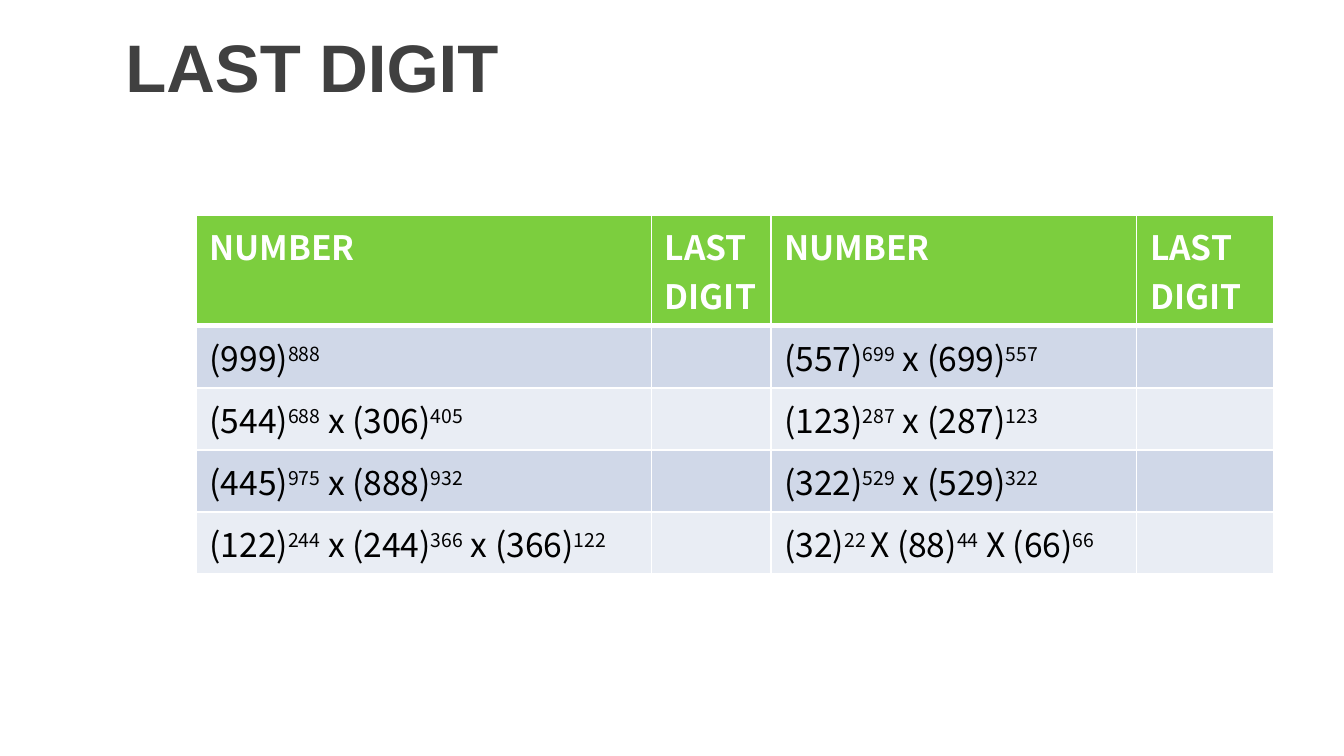
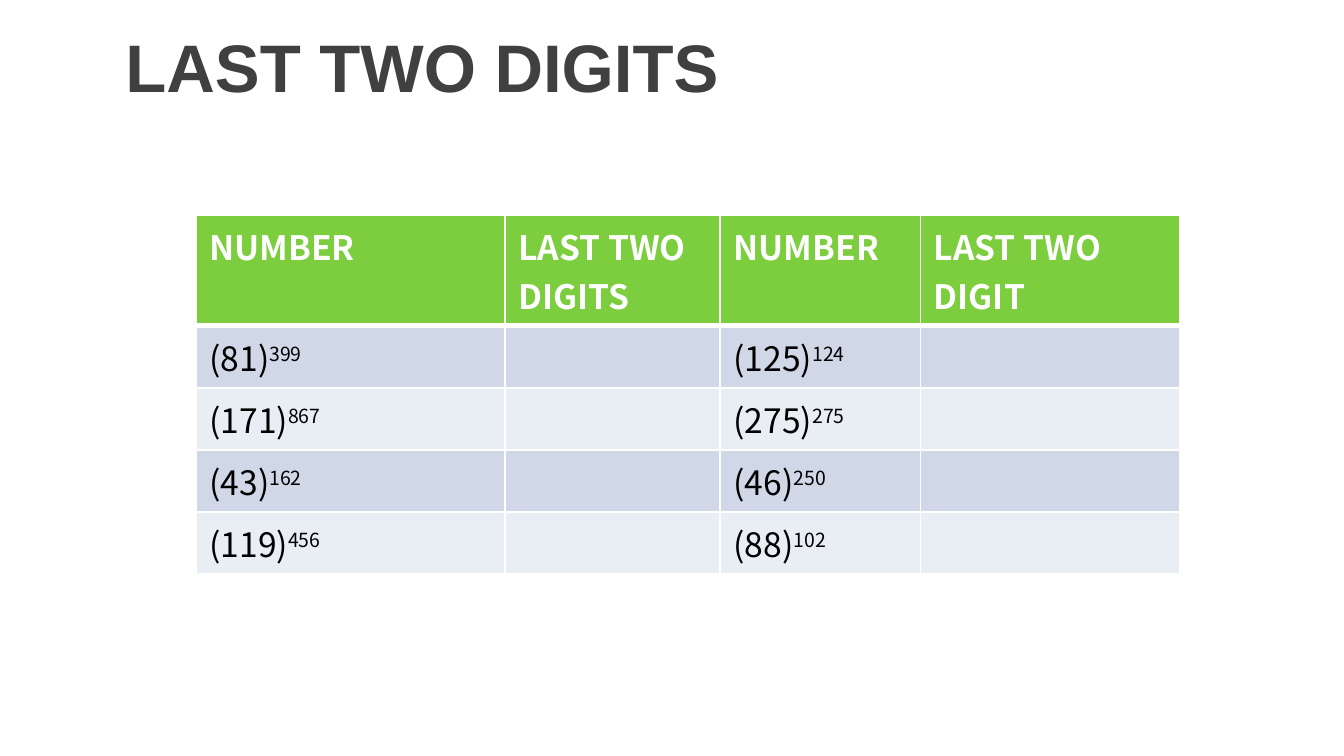
from dataclasses import dataclass

from lxml.etree import SubElement
from pptx import Presentation
from pptx.dml.color import RGBColor
from pptx.enum.text import MSO_ANCHOR, MSO_AUTO_SIZE, PP_ALIGN
from pptx.oxml.ns import qn
from pptx.presentation import Presentation as Deck
from pptx.slide import Slide
from pptx.table import _Cell as Cell
from pptx.text.text import Font
from pptx.util import Pt

# Shared style
COLORS = {
    "title": "404040",
    "header": "7CCE3E",
    "header_text": "FFFFFF",
    "body_text": "000000",
    "band_dark": "D0D8E8",
    "band_light": "E9EDF4",
    "border": "FFFFFF",
}
TITLE_FONT = "Arial"
TABLE_FONT = "Noto Sans CJK KR"
TABLE_LEFT, TABLE_TOP = 105, 115.2
HEADER_HEIGHT, ROW_HEIGHT = 55.4, 32.4
THIN, THICK = 1, 3


@dataclass(frozen=True)
class Exercise:
    """A slide of powers; exponents stand between carets, header lines on separate lines."""
    title: str
    widths: tuple[float, ...]
    headers: tuple[str, ...]
    powers: tuple[tuple[str, str], ...]


EXERCISES = (
    Exercise(
        "LAST DIGIT",
        (244, 64, 196, 73.4),
        ("NUMBER", "LAST\nDIGIT", "NUMBER", "LAST\nDIGIT"),
        (
            ("(999)^888^", "(557)^699^ x (699)^557^"),
            ("(544)^688^ x (306)^405^", "(123)^287^ x (287)^123^"),
            ("(445)^975^ x (888)^932^", "(322)^529^ x (529)^322^"),
            ("(122)^244^ x (244)^366^ x (366)^122^", "(32)^22 ^X (88)^44^ X (66)^66^"),
        ),
    ),
    Exercise(
        "LAST TWO DIGITS",
        (165.6, 115.2, 107.3, 139),
        ("NUMBER", "LAST TWO\nDIGITS", "NUMBER", "LAST TWO\nDIGIT"),
        (
            ("(81)^399^", "(125)^124^"),
            ("(171)^867^", "(275)^275^"),
            ("(43)^162^", "(46)^250^"),
            ("(119)^456^", "(88)^102^"),
        ),
    ),
)


def style_font(font: Font, name: str, size: float, color: str, bold: bool) -> None:
    font.name = name
    font.size = Pt(size)
    font.bold = bold
    font.color.rgb = RGBColor.from_string(COLORS[color])


def add_title(slide: Slide, text: str) -> None:
    title = slide.shapes.title
    title.left, title.top, title.width, title.height = Pt(60), Pt(0), Pt(592.6), Pt(70)
    frame = title.text_frame
    frame.auto_size = MSO_AUTO_SIZE.NONE
    frame.vertical_anchor = MSO_ANCHOR.MIDDLE
    para = frame.paragraphs[0]
    para.alignment = PP_ALIGN.LEFT
    span = para.add_run()
    span.text = text
    style_font(span.font, TITLE_FONT, 36, "title", True)


def set_borders(cell: Cell, top: float, bottom: float) -> None:
    properties = cell._tc.get_or_add_tcPr()
    for side, width in (("L", THIN), ("R", THIN), ("T", top), ("B", bottom)):
        line = SubElement(properties, qn(f"a:ln{side}"), w=str(Pt(width)))
        fill = SubElement(line, qn("a:solidFill"))
        SubElement(fill, qn("a:srgbClr"), val=COLORS["border"])


def write_cell(cell: Cell, text: str, color: str, bold: bool) -> None:
    """Write one paragraph a line, raising the parts between carets."""
    for index, line in enumerate(text.split("\n")):
        frame = cell.text_frame
        para = frame.add_paragraph() if index else frame.paragraphs[0]
        para.font.size = Pt(18)
        for position, part in enumerate(line.split("^")):
            if not part:
                continue
            span = para.add_run()
            span.text = part
            style_font(span.font, TABLE_FONT, 18, color, bold)
            if position % 2:
                span.font._element.set("baseline", "30000")


def add_power_table(slide: Slide, exercise: Exercise) -> None:
    # Every power is followed by an empty answer cell
    rows = [exercise.headers] + [(left, "", right, "") for left, right in exercise.powers]
    heights = [HEADER_HEIGHT] + [ROW_HEIGHT] * len(exercise.powers)
    frame = slide.shapes.add_table(
        len(rows), len(exercise.widths), Pt(TABLE_LEFT), Pt(TABLE_TOP),
        Pt(sum(exercise.widths)), Pt(sum(heights)),
    )
    table = frame.table
    table.horz_banding = False
    for column, width in zip(table.columns, exercise.widths):
        column.width = Pt(width)
    for row_index, (texts, height) in enumerate(zip(rows, heights)):
        table.rows[row_index].height = Pt(height)
        is_header = row_index == 0
        band = "band_dark" if row_index % 2 else "band_light"
        fill = "header" if is_header else band
        for column_index, text in enumerate(texts):
            cell = table.cell(row_index, column_index)
            set_borders(cell, THICK if row_index == 1 else THIN, THICK if is_header else THIN)
            cell.fill.solid()
            cell.fill.fore_color.rgb = RGBColor.from_string(COLORS[fill])
            write_cell(cell, text, "header_text" if is_header else "body_text", is_header)


def add_exercise(deck: Deck, exercise: Exercise) -> None:
    title_only = deck.slide_layouts[5]
    slide = deck.slides.add_slide(title_only)
    add_title(slide, exercise.title)
    add_power_table(slide, exercise)


def main() -> None:
    deck = Presentation()
    deck.slide_width, deck.slide_height = Pt(720), Pt(405)
    for exercise in EXERCISES:
        add_exercise(deck, exercise)
    deck.save("out.pptx")


if __name__ == "__main__":
    main()
